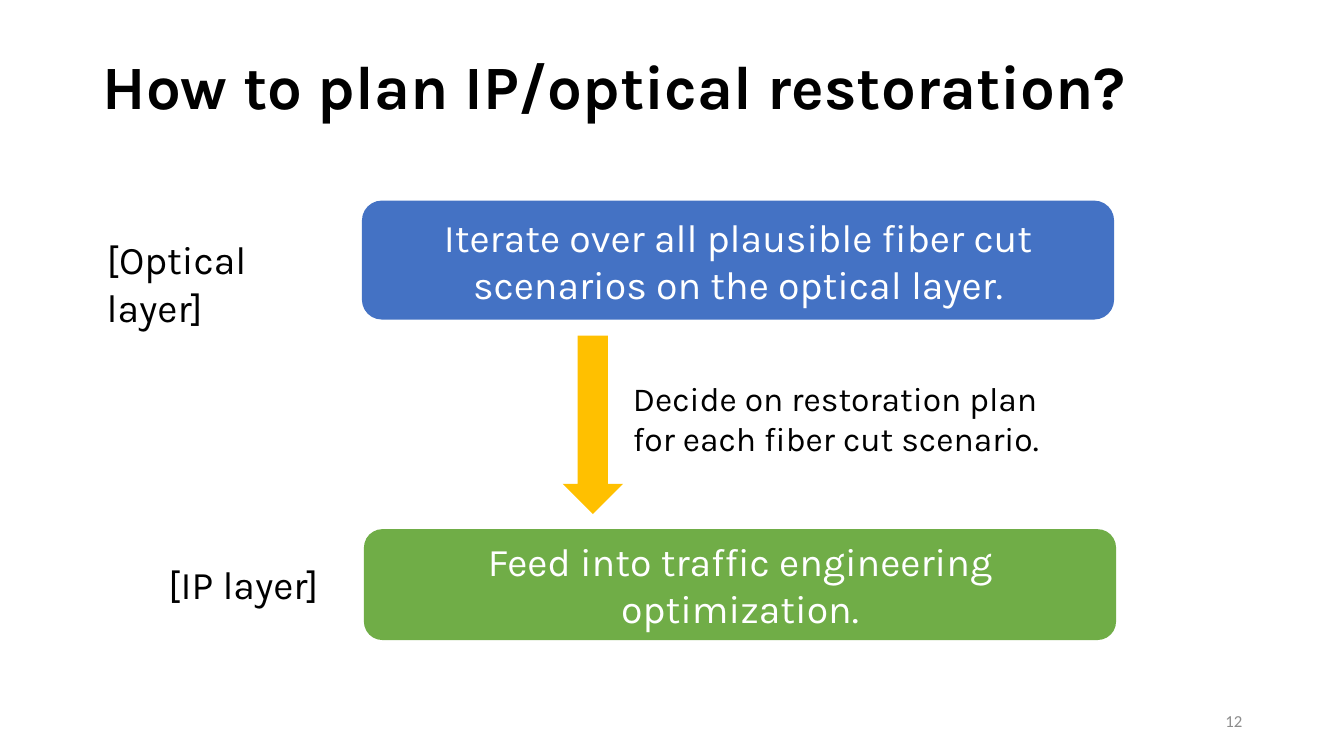
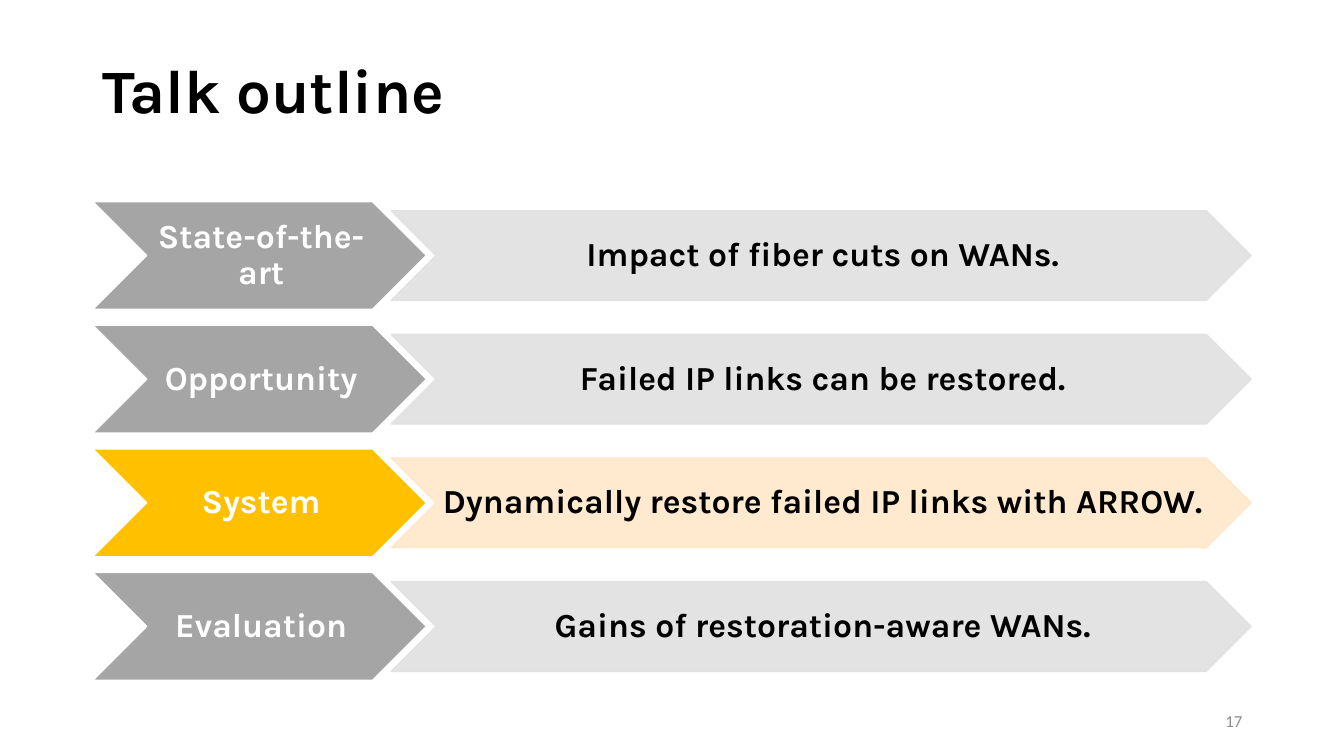
from lxml import etree
from pptx import Presentation
from pptx.dml import color
from pptx.enum import shapes, text
from pptx.oxml import ns
from pptx.util import Inches, Pt

COLORS = {
    "black": "000000",
    "white": "FFFFFF",
    "number": "8C8C8C",
    "blue": "4472C4",
    "green": "70AD47",
    "amber": "FFC000",
    "gray": "A5A5A5",
    "pale_gray": "E1E1E1",
    "pale_amber": "FFE7CA",
}
FONT = "Karla"
NUMBER_FONT = "Calibri"
ROUNDED = shapes.MSO_SHAPE.ROUNDED_RECTANGLE
CHEVRON = shapes.MSO_SHAPE.CHEVRON
ARROW = shapes.MSO_SHAPE.DOWN_ARROW
LEFT, CENTER, RIGHT = text.PP_ALIGN.LEFT, text.PP_ALIGN.CENTER, text.PP_ALIGN.RIGHT
TOP, MIDDLE = text.MSO_ANCHOR.TOP, text.MSO_ANCHOR.MIDDLE


def rgb(name):
    return color.RGBColor.from_string(COLORS[name])


def write(box, words, size, ink="black", bold=False, align=LEFT, anchor=MIDDLE,
          spacing=1.0, font=FONT):
    frame = box.text_frame
    frame.word_wrap = True
    frame.vertical_anchor = anchor
    para = frame.paragraphs[0]
    para.text = words
    para.alignment = align
    para.line_spacing = spacing
    para.font.name = font
    para.font.size = Pt(size)
    para.font.bold = bold
    para.font.color.rgb = rgb(ink)


def add_text(page, place, words, size, **style):
    box = page.shapes.add_textbox(*map(Inches, place))
    write(box, words, size, **style)


def add_block(page, kind, place, fill, line=None):
    block = page.shapes.add_shape(kind, *map(Inches, place))
    block.shadow.inherit = False
    block.fill.solid()
    block.fill.fore_color.rgb = rgb(fill)
    if line:
        block.line.color.rgb = rgb(line)
        block.line.width = Pt(1)
    else:
        block.line.fill.background()
    return block


def set_opacity(block, percent):
    for tint in block._element.spPr.iter(ns.qn("a:srgbClr")):
        etree.SubElement(tint, ns.qn("a:alpha"), val=str(percent * 1000))


def add_step(page, place, words, fill):
    write(add_block(page, ROUNDED, place, fill), words, 28, ink="white", align=CENTER)


def add_chevron(page, place, words, fill, line, ink):
    chevron = add_block(page, CHEVRON, place, fill, line)
    frame = chevron.text_frame
    frame.margin_left = Inches(0.03)
    frame.margin_right = 0
    frame.margin_top = frame.margin_bottom = Inches(0.02)
    write(chevron, words, 24, ink=ink, bold=True, align=CENTER, spacing=0.9)
    return chevron


def add_page(deck, title, title_height, number):
    page = deck.slides.add_slide(deck.slide_layouts[6])
    add_text(page, (0.92, 0.4, 11.5, title_height), title, 44, bold=True, spacing=0.9)
    add_text(page, (9.42, 6.95, 3, 0.4), str(number), 12, ink="number",
             align=RIGHT, font=NUMBER_FONT)
    return page


def build_plan(deck):
    page = add_page(deck, "How to plan IP/optical restoration?", 0.97, 12)
    add_step(page, (3.61, 5.25, 7.46, 1.1),
             "Feed into traffic engineering optimization.", "green")
    add_step(page, (3.59, 1.99, 7.46, 1.18),
             "Iterate over all plausible fiber cut scenarios on the optical layer.", "blue")
    add_text(page, (6.18, 3.7, 4.56, 0.91),
             "Decide on restoration plan for each fiber cut scenario.", 24, anchor=TOP)
    add_block(page, ARROW, (5.58, 3.33, 0.6, 1.77), "amber")
    add_text(page, (0.96, 2.29, 2.48, 0.57), "[Optical layer]", 28, anchor=TOP)
    add_text(page, (1.57, 5.51, 1.72, 0.57), "[IP layer]", 28, anchor=TOP)


def build_outline(deck):
    page = add_page(deck, "Talk outline", 1.05, 17)
    current = "System"
    topics = [
        ("State-of-the-art", "Impact of fiber cuts on WANs."),
        ("Opportunity", "Failed IP links can be restored."),
        (current, "Dynamically restore failed IP links with ARROW."),
        ("Evaluation", "Gains of restoration-aware WANs."),
    ]
    first_top, last_top = 2, 5.68
    pitch = (last_top - first_top) / (len(topics) - 1)
    for row, (topic, summary) in enumerate(topics):
        top = first_top + row * pitch
        strong, pale = ("amber", "pale_amber") if topic == current else ("gray", "pale_gray")
        add_chevron(page, (0.92, top, 3.31, 1.07), topic, strong, "white", "white")
        detail = add_chevron(page, (3.88, top + 0.09, 8.53, 0.89), summary, pale, pale, "black")
        set_opacity(detail, 90)


def main():
    deck = Presentation()
    deck.slide_width = Inches(13.33)
    deck.slide_height = Inches(7.5)
    build_plan(deck)
    build_outline(deck)
    deck.save("out.pptx")


if __name__ == "__main__":
    main()
